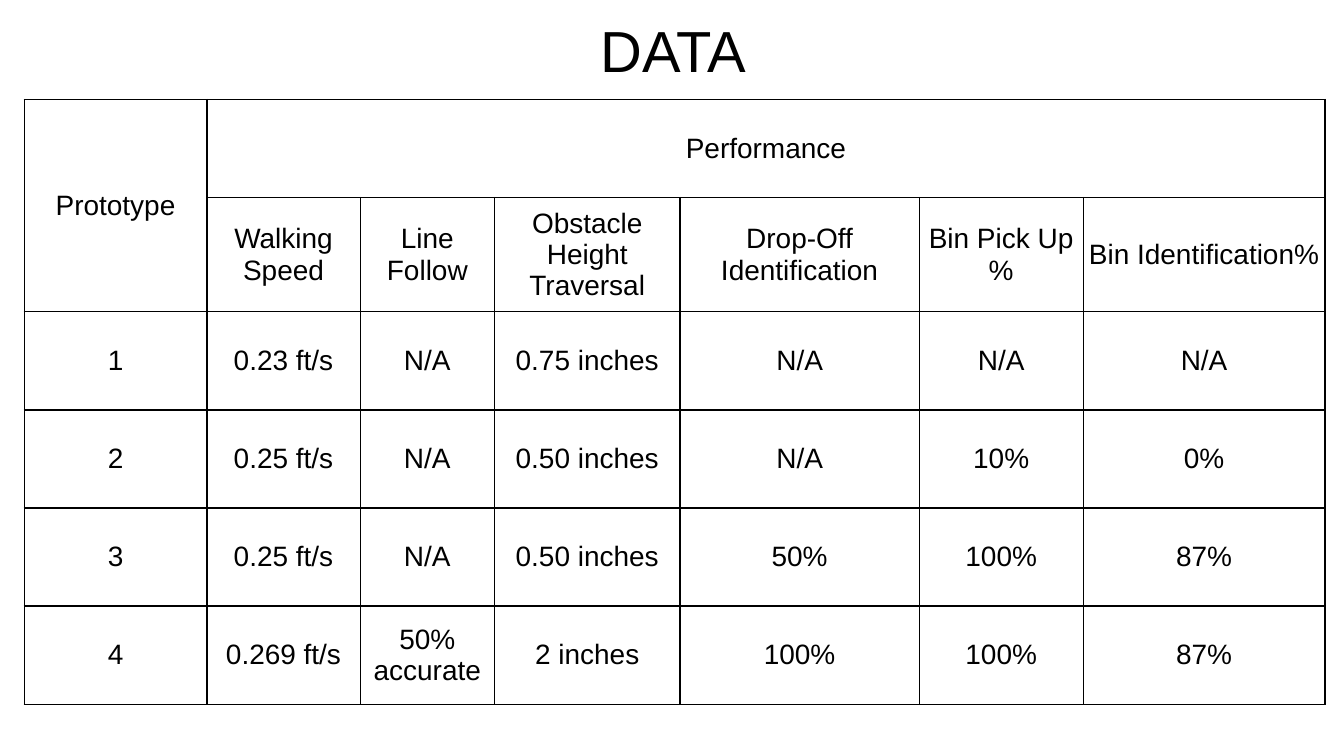
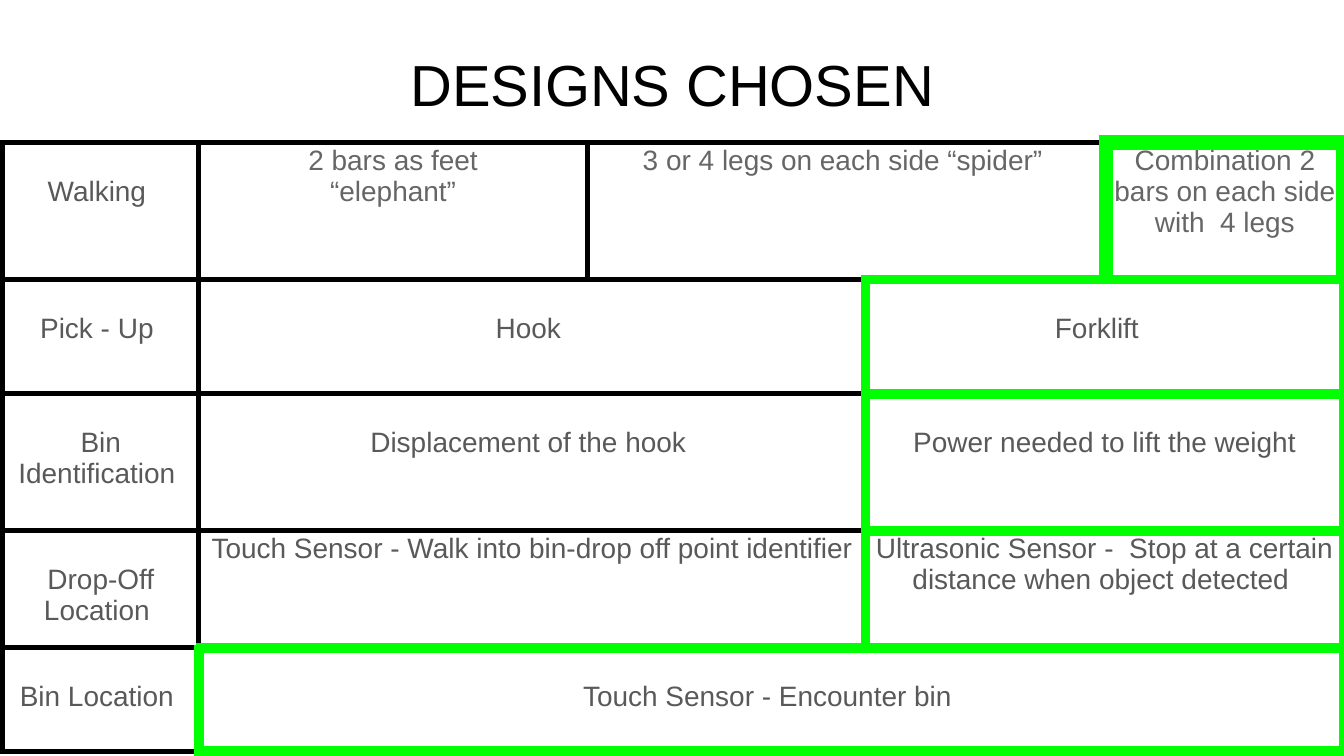
from dataclasses import dataclass
from itertools import product

from lxml.etree import SubElement
from pptx import Presentation
from pptx.dml.color import RGBColor
from pptx.enum.text import MSO_ANCHOR, PP_ALIGN
from pptx.oxml.ns import qn
from pptx.util import Inches, Pt


@dataclass(frozen=True)
class Theme:
    font: str = "Arial"
    title_size: int = 31
    cell_size: int = 15
    black: str = "000000"
    label: str = "595959"
    option: str = "666666"
    chosen: str = "00FF00"
    thin: float = 0.75
    thick: float = 3
    title_pad: float = 0.11
    pad: float = 0.02
    low_pad: float = 0.25


@dataclass
class Cell:
    text: str
    across: int = 1
    down: int = 1
    color: str = Theme.black
    low: bool = False
    chosen: float = 0


T = Theme()

MEASURES = ["Walking Speed", "Line Follow", "Obstacle Height Traversal",
            "Drop-Off Identification", "Bin Pick Up %", "Bin Identification%"]
RESULTS = [
    ["1", "0.23 ft/s", "N/A", "0.75 inches", "N/A", "N/A", "N/A"],
    ["2", "0.25 ft/s", "N/A", "0.50 inches", "N/A", "10%", "0%"],
    ["3", "0.25 ft/s", "N/A", "0.50 inches", "50%", "100%", "87%"],
    ["4", "0.269 ft/s", "50% accurate", "2 inches", "100%", "100%", "87%"],
]
DATA = {
    "title": "DATA", "title_at": (0.35, 0), "at": (0.18, 0.74),
    "cols": [1.36, 1.14, 1, 1.38, 1.78, 1.22, 1.8],
    "rows": [0.73, 0.85] + [0.73] * 4,
    "line": T.thin, "anchor": MSO_ANCHOR.MIDDLE,
    "cells": [[Cell("Prototype", down=2), Cell("Performance", across=6)]]
    + [[Cell(text) for text in row] for row in [MEASURES] + RESULTS],
}


def label(text, **more):
    return Cell(text, color=T.label, low=True, **more)


def option(text, across=1, chosen=0):
    return Cell(text, across, color=T.option, chosen=chosen)


DESIGNS = {
    "title": "DESIGNS CHOSEN", "title_at": (0.34, 0.25), "at": (0.02, 1.06),
    "cols": [1.46, 2.89, 1.45, 0.52, 0.1, 1.69, 0.1, 1.77],
    "rows": [1.02, 0.85, 1.02, 0.87, 0.77],
    "line": T.thick, "anchor": MSO_ANCHOR.TOP,
    "cells": [
        [label("Walking "), option("2 bars as feet\n“elephant”"),
         option("3 or 4 legs on each side “spider” ", 5),
         option("Combination 2 bars on each side with  4 legs", chosen=9)],
        [label("Pick - Up "), label("Hook ", across=4),
         label("Forklift  ", across=3, chosen=6)],
        [label("Bin Identification "),
         label("Displacement of the hook ", across=4),
         label("Power needed to lift the weight", across=3, chosen=6)],
        [label("Drop-Off Location "),
         Cell("Touch Sensor - Walk into bin-drop off point identifier", 4,
              color=T.label),
         Cell("Ultrasonic Sensor -  Stop at a certain distance when object "
              "detected ", 3, color=T.label, chosen=6)],
        [label("Bin Location "),
         label("Touch Sensor - Encounter bin ", across=7, chosen=6)],
    ],
}


def add_text(tf, text, size, color):
    for i, line in enumerate(text.split("\n")):
        p = tf.paragraphs[0] if i == 0 else tf.add_paragraph()
        p.alignment = PP_ALIGN.CENTER
        r = p.add_run()
        r.text = line
        r.font.name = T.font
        r.font.size = Pt(size)
        r.font.color.rgb = RGBColor.from_string(color)


def add_title(s, text, at):
    sp = s.shapes.add_textbox(*map(Inches, (*at, 9.32, 0.63)))
    tf = sp.text_frame
    tf.word_wrap = True
    tf.vertical_anchor = MSO_ANCHOR.TOP
    tf.margin_left = tf.margin_right = Inches(T.title_pad)
    tf.margin_top = tf.margin_bottom = Inches(T.title_pad)
    add_text(tf, text, T.title_size, T.black)


def place_cells(rows):
    placed, taken = [], set()
    for row, cells in enumerate(rows):
        col = 0
        for cell in cells:
            while (row, col) in taken:
                col += 1
            area = list(product(range(row, row + cell.down),
                                range(col, col + cell.across)))
            taken.update(area)
            placed.append((cell, area))
            col += cell.across
    return placed


def find_edges(placed, width):
    edges = {spot: dict.fromkeys("LRTB", (T.black, width))
             for _, area in placed for spot in area}
    for cell, area in placed:
        if not cell.chosen:
            continue
        pen = (T.chosen, cell.chosen)
        row, col = area[0]
        for spot in area:
            edges[spot] = dict.fromkeys("LRTB", pen)
            above = (spot[0] - 1, spot[1])
            if above in edges:
                edges[above]["B"] = pen
        for _, beside in placed:
            if (row, col - 1) in beside:
                for spot in beside:
                    edges[spot]["R"] = pen
    return edges


def draw_edges(tc, sides):
    pr = tc.get_or_add_tcPr()
    for side, (color, width) in sides.items():
        ln = SubElement(pr, qn("a:ln" + side), w=str(Pt(width)))
        fill = SubElement(ln, qn("a:solidFill"))
        SubElement(fill, qn("a:srgbClr"), val=color)


def add_grid(s, spec):
    cols, rows = spec["cols"], spec["rows"]
    size = sum(cols), sum(rows)
    table = s.shapes.add_table(len(rows), len(cols),
                               *map(Inches, (*spec["at"], *size))).table
    table.first_row = table.horz_banding = False
    for col, width in zip(table.columns, cols):
        col.width = Inches(width)
    for row, height in zip(table.rows, rows):
        row.height = Inches(height)

    placed = place_cells(spec["cells"])
    for spot, sides in find_edges(placed, spec["line"]).items():
        tc = table.cell(*spot)
        draw_edges(tc._tc, sides)
        tc.fill.background()
    for cell, area in placed:
        tc = table.cell(*area[0])
        if len(area) > 1:
            tc.merge(table.cell(*area[-1]))
        tc.margin_left = tc.margin_right = tc.margin_bottom = Inches(T.pad)
        tc.margin_top = Inches(T.low_pad if cell.low else T.pad)
        tc.vertical_anchor = spec["anchor"]
        add_text(tc.text_frame, cell.text, T.cell_size, cell.color)


def main():
    prs = Presentation()
    prs.slide_width = Inches(10)
    prs.slide_height = prs.slide_width * 9 // 16
    for spec in (DATA, DESIGNS):
        s = prs.slides.add_slide(prs.slide_layouts[6])
        add_title(s, spec["title"], spec["title_at"])
        add_grid(s, spec)
    prs.save("out.pptx")


if __name__ == "__main__":
    main()
